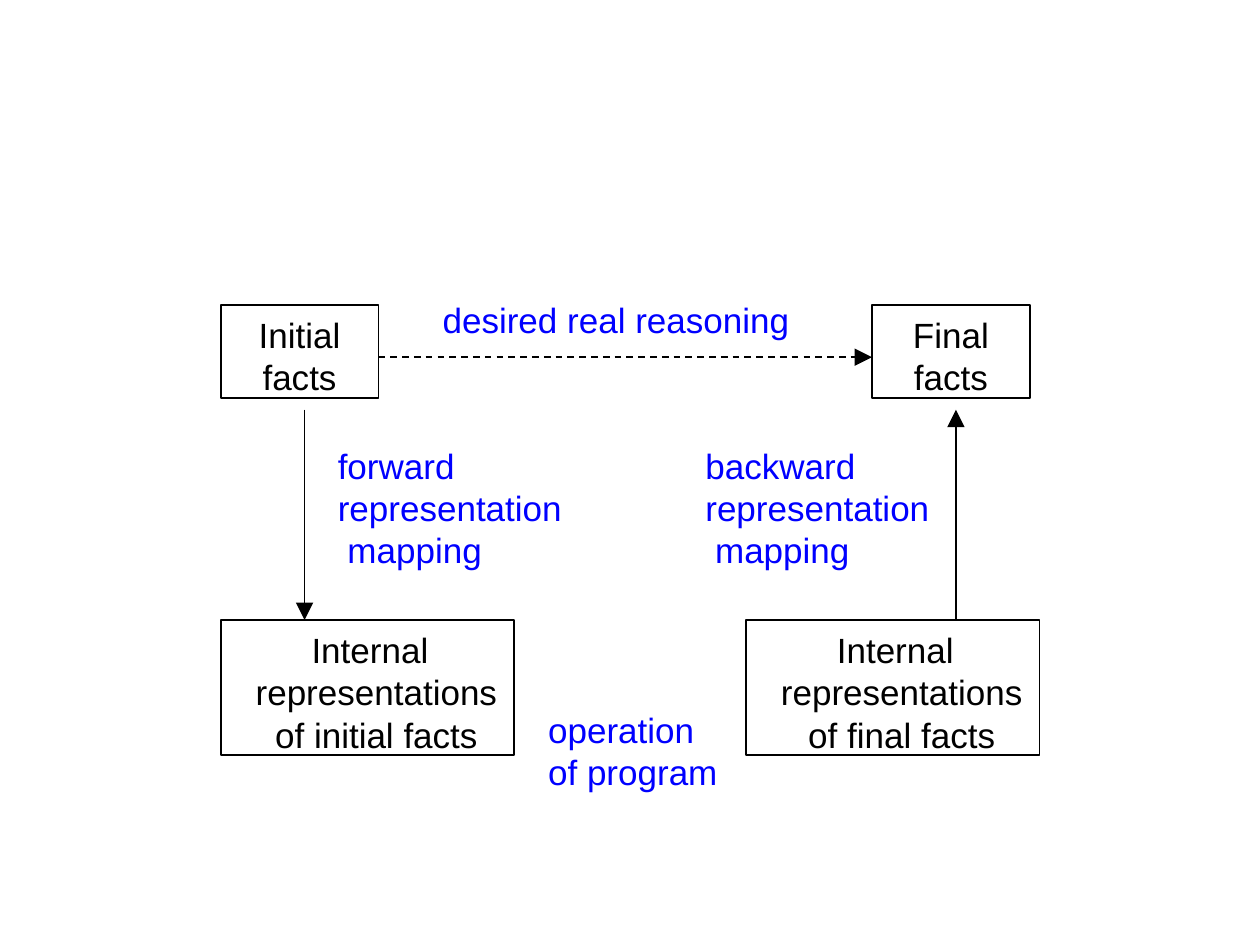
from lxml.etree import SubElement
from pptx import Presentation
from pptx.dml.color import RGBColor
from pptx.enum.dml import MSO_LINE_DASH_STYLE as Dash
from pptx.enum.shapes import MSO_CONNECTOR as Connector, MSO_SHAPE as Shape
from pptx.enum.text import MSO_ANCHOR as Anchor, PP_ALIGN as Align
from pptx.oxml.ns import qn
from pptx.util import Cm, Pt

BLACK, BLUE = "000000", "0000FF"
LINE_WIDTH = Pt(0.96)
BOX_TOP, BOX_WIDTH, BOX_HEIGHT = 6.15, 3.18, 1.88
INTERNAL_TOP, INTERNAL_WIDTH, INTERNAL_HEIGHT = 12.5, 5.92, 2.72
INITIAL_LEFT, FINAL_LEFT = 4.45, 17.58
ARROW_OFFSET = 1.69
HANGING = (0.36, -0.26)


def rgb(color):
    return RGBColor.from_string(color)


def write_text(shape, paragraphs, color, align, inset, hanging=None):
    """Fill a shape with paragraphs, each given as a list of lines."""
    frame = shape.text_frame
    frame.word_wrap = True
    frame.vertical_anchor = Anchor.TOP
    frame.margin_left = frame.margin_right = frame.margin_bottom = 0
    frame.margin_top = Cm(inset)
    for index, lines in enumerate(paragraphs):
        paragraph = frame.paragraphs[0] if index == 0 else frame.add_paragraph()
        paragraph.alignment = align
        paragraph.line_spacing = Pt(24)
        if hanging:
            properties = paragraph._p.get_or_add_pPr()
            margin, indent = hanging
            properties.set("marL", str(Cm(margin)))
            properties.set("indent", str(Cm(indent)))
        for number, line in enumerate(lines):
            if number:
                paragraph.add_line_break()
            run = paragraph.add_run()
            run.text = line
            run.font.name = "Arial"
            run.font.size = Pt(20)
            run.font.color.rgb = rgb(color)


def add_box(slide, left, top, width, height, lines, hanging=None):
    box = slide.shapes.add_shape(
        Shape.RECTANGLE, Cm(left), Cm(top), Cm(width), Cm(height))
    box.shadow.inherit = False
    box.fill.background()
    box.line.color.rgb = rgb(BLACK)
    box.line.width = LINE_WIDTH
    write_text(box, [lines], BLACK, Align.CENTER, 0.18, hanging)


def add_label(slide, left, top, width, height, paragraphs, align=Align.LEFT):
    label = slide.shapes.add_textbox(Cm(left), Cm(top), Cm(width), Cm(height))
    write_text(label, paragraphs, BLUE, align, 0.03)


def add_arrow(slide, start, end, dash=None):
    arrow = slide.shapes.add_connector(
        Connector.STRAIGHT, *(Cm(value) for value in (*start, *end)))
    arrow.line.color.rgb = rgb(BLACK)
    arrow.line.width = LINE_WIDTH
    if dash:
        arrow.line.dash_style = dash
    properties = arrow._element.spPr
    SubElement(properties.find(qn("a:ln")), qn("a:tailEnd"),
               type="triangle", w="lg", len="lg")
    SubElement(properties, qn("a:effectLst"))


def main():
    presentation = Presentation()
    presentation.slide_width, presentation.slide_height = Cm(25.4), Cm(19.05)
    slide = presentation.slides.add_slide(presentation.slide_layouts[6])

    for name, left, internal_left in (
            ("Initial", INITIAL_LEFT, INITIAL_LEFT), ("Final", FINAL_LEFT, 15.04)):
        add_box(slide, left, BOX_TOP, BOX_WIDTH, BOX_HEIGHT, [name, "facts"])
        add_box(slide, internal_left, INTERNAL_TOP, INTERNAL_WIDTH, INTERNAL_HEIGHT,
                ["Internal", "representations", f"of {name.lower()} facts"], HANGING)

    reasoning_y, facts_y = 7.2, 8.26
    initial_x, final_x = INITIAL_LEFT + ARROW_OFFSET, FINAL_LEFT + ARROW_OFFSET
    add_arrow(slide, (INITIAL_LEFT + BOX_WIDTH, reasoning_y),
              (FINAL_LEFT, reasoning_y), Dash.DASH)
    add_arrow(slide, (initial_x, facts_y), (initial_x, INTERNAL_TOP))
    add_arrow(slide, (final_x, INTERNAL_TOP), (final_x, facts_y))

    add_label(slide, 8.89, 5.99, 7.06, 0.91,
              [["desired real reasoning"]], Align.CENTER)
    for direction, left in (("forward", 6.81), ("backward", 14.22)):
        add_label(slide, left, 8.94, 4.6, 2.59,
                  [[direction, "representation", " mapping"]])
    add_label(slide, 11.05, 14.25, 3.48, 1.73, [["operation"], ["of program"]])

    presentation.save("out.pptx")


if __name__ == "__main__":
    main()
